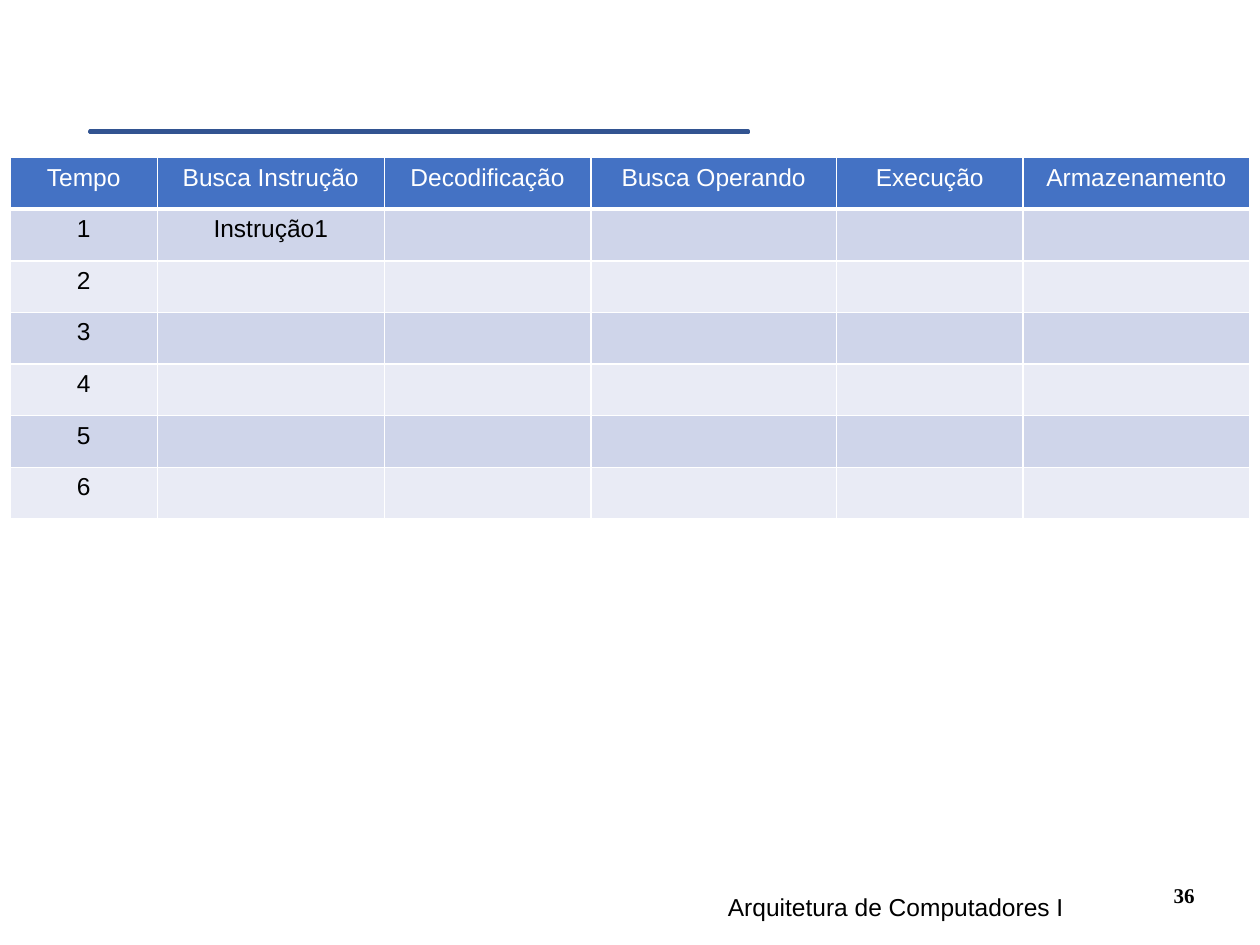
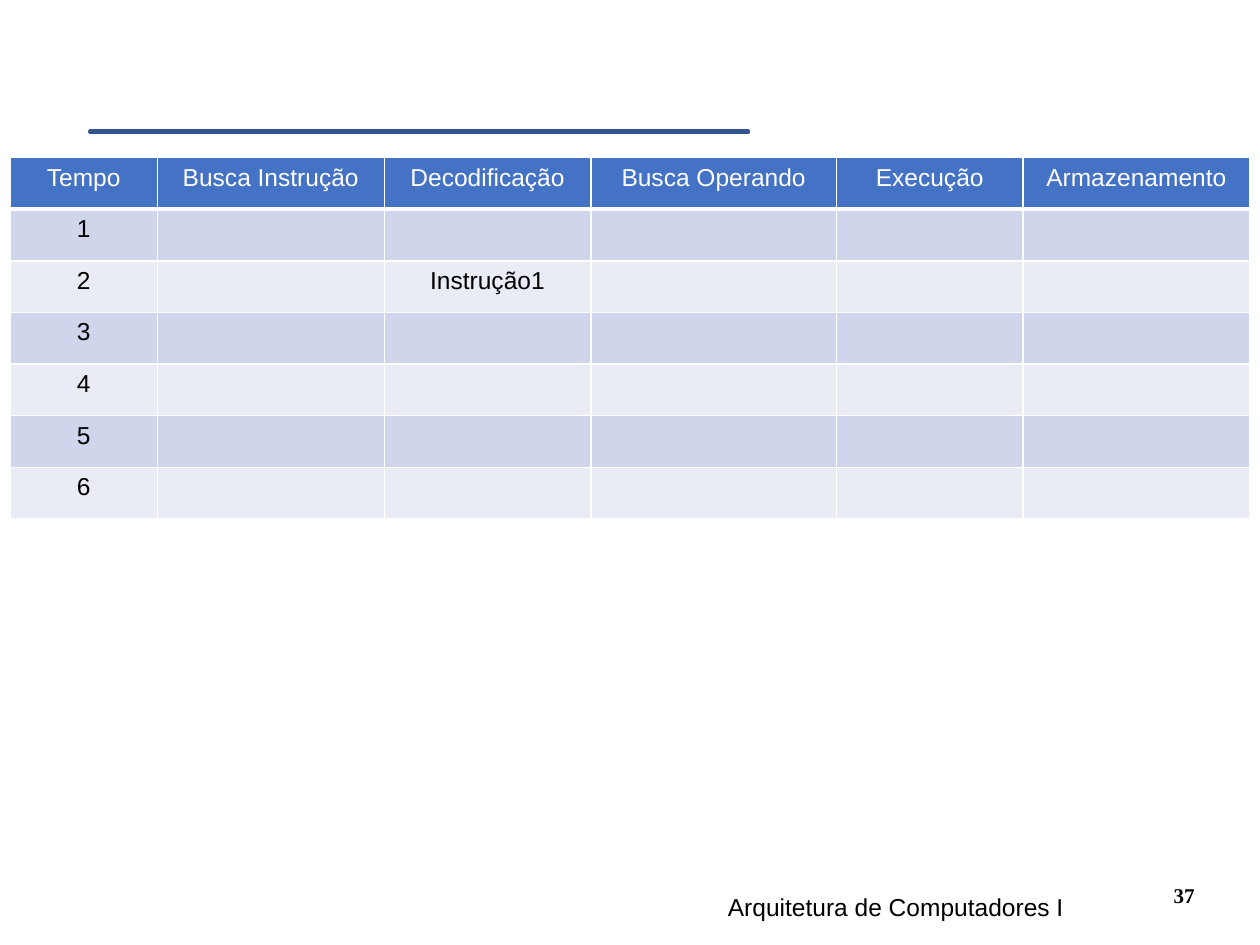
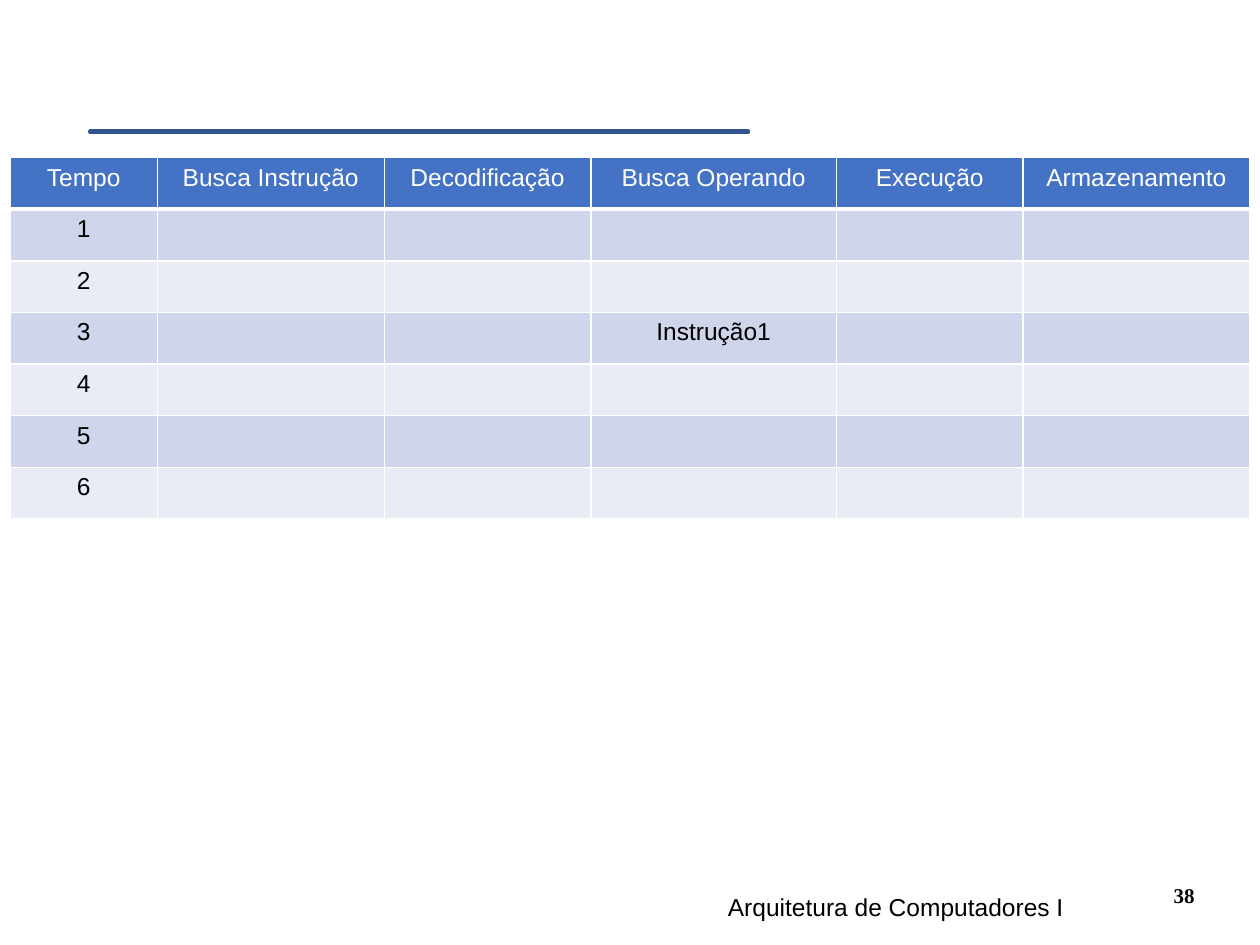
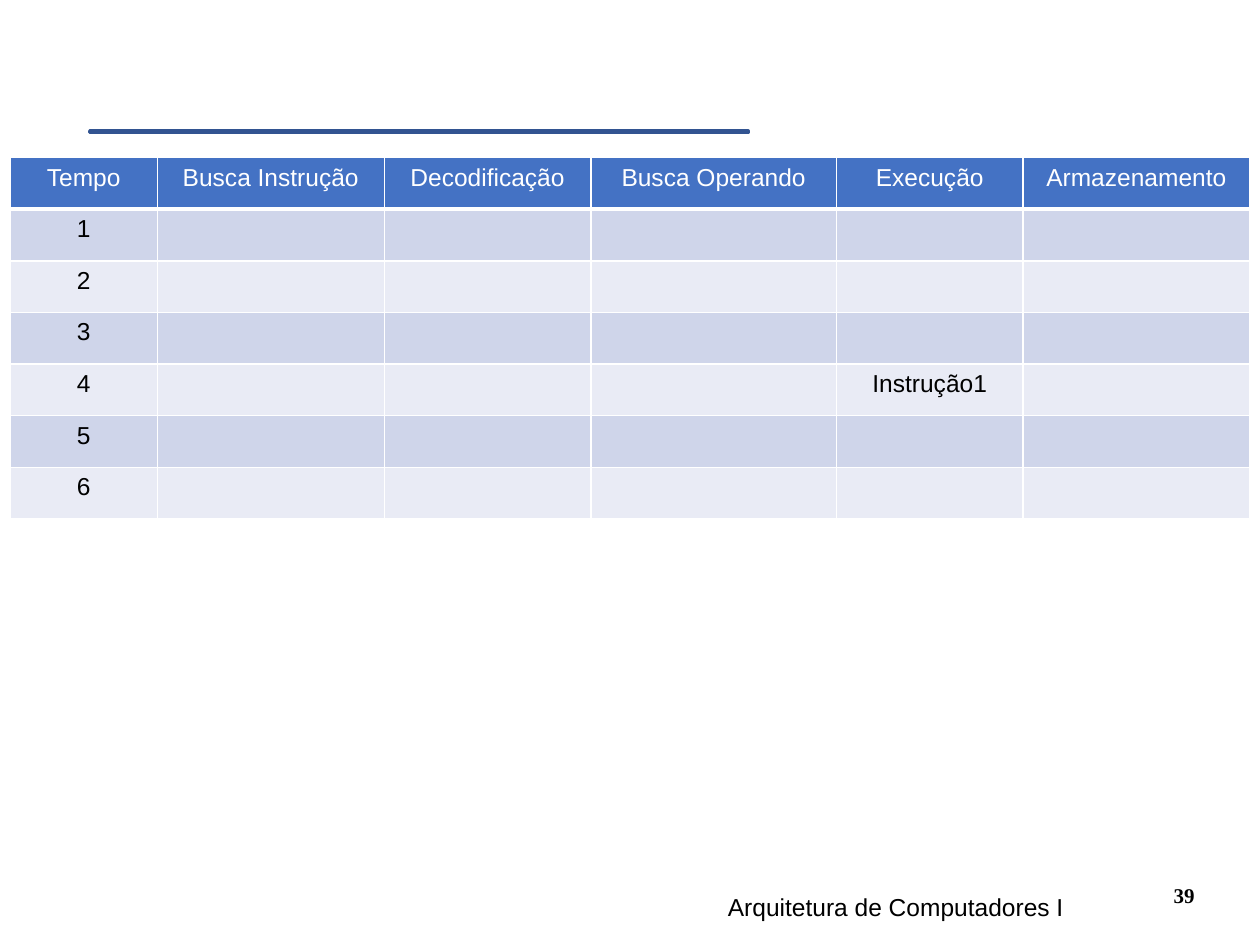
from lxml import etree
from pptx import Presentation
from pptx.dml.color import RGBColor
from pptx.enum import shapes, text
from pptx.oxml.ns import qn
from pptx.util import Inches, Pt

# Content: the instruction moves one stage further on each slide
STAGES = ["Tempo", "Busca Instrução", "Decodificação", "Busca Operando",
          "Execução", "Armazenamento"]
TIMES = range(1, 7)
INSTRUCTION = "Instrução1"
FOOTER = "Arquitetura de Computadores I"
SLIDES = [{"number": 36, "step": 1}, {"number": 37, "step": 2},
          {"number": 38, "step": 3}, {"number": 39, "step": 4}]

# Shared look
COLORS = {"blue": "4472C4", "rule": "325491", "odd": "CFD5EA",
          "even": "E9EBF5", "white": "FFFFFF", "black": "000000"}
FONTS = {
    "header": {"name": "Arial", "size": Pt(14), "bold": False, "color": "white"},
    "body": {"name": "Arial", "size": Pt(14), "bold": False, "color": "black"},
    "number": {"name": "Times New Roman", "size": Pt(12), "bold": True,
               "color": "black"},
}
COL_WIDTHS = [1.17, 1.8, 1.64, 1.95, 1.48, 1.8]
ROW_HEIGHT = 0.41
TABLE_LEFT, TABLE_TOP = 0.08, 1.25
RULE_BOX = (-0.23, 1.02, 7.11, 0.05)
NUMBER_BOX = (7, 6.75, 2.58, 0.5)
FOOTER_BOX = (4.89, 7.03, 4.44, 0.5)


def rgb(name):
    return RGBColor.from_string(COLORS[name])


def write(tf, content, style, align):
    p = tf.paragraphs[0]
    p.alignment = align
    r = p.add_run()
    r.text = content
    for key, value in FONTS[style].items():
        if key == "color":
            r.font.color.rgb = rgb(value)
        else:
            setattr(r.font, key, value)


def add_text(s, box, content, style, align, anchor):
    tf = s.shapes.add_textbox(*map(Inches, box)).text_frame
    tf.word_wrap = True
    tf.vertical_anchor = anchor
    write(tf, content, style, align)


def set_borders(cell, bottom):
    tc_pr = cell._tc.get_or_add_tcPr()
    for side, width in {"L": 1, "R": 1, "T": 1, "B": bottom}.items():
        ln = etree.SubElement(tc_pr, qn(f"a:ln{side}"), w=str(Pt(width)))
        fill = etree.SubElement(ln, qn("a:solidFill"))
        etree.SubElement(fill, qn("a:srgbClr"), val=COLORS["white"])


def add_pipeline(s, step):
    # Row t holds the time, and the instruction in column t when t is the step
    rows = [STAGES]
    for t in TIMES:
        row = [str(t)] + [""] * (len(STAGES) - 1)
        if t == step:
            row[t] = INSTRUCTION
        rows.append(row)

    table = s.shapes.add_table(
        len(rows), len(STAGES), Inches(TABLE_LEFT), Inches(TABLE_TOP),
        Inches(sum(COL_WIDTHS)), Inches(ROW_HEIGHT * len(rows))).table
    for col, width in zip(table.columns, COL_WIDTHS):
        col.width = Inches(width)
    for i, row in enumerate(rows):
        table.rows[i].height = Inches(ROW_HEIGHT)
        fill = "blue" if i == 0 else "odd" if i % 2 else "even"
        for j, content in enumerate(row):
            cell = table.cell(i, j)
            set_borders(cell, bottom=1 if i else 3)
            cell.fill.solid()
            cell.fill.fore_color.rgb = rgb(fill)
            if content:
                write(cell.text_frame, content, "body" if i else "header",
                      text.PP_ALIGN.CENTER)


def add_rule(s):
    sp = s.shapes.add_shape(shapes.MSO_SHAPE.MATH_MINUS, *map(Inches, RULE_BOX))
    sp.shadow.inherit = False
    sp.fill.solid()
    sp.fill.fore_color.rgb = rgb("blue")
    sp.line.color.rgb = rgb("rule")
    sp.line.width = Pt(2)


def main():
    prs = Presentation()
    prs.slide_width, prs.slide_height = Inches(10), Inches(7.5)
    for page in SLIDES:
        s = prs.slides.add_slide(prs.slide_layouts[6])
        add_pipeline(s, page["step"])
        add_text(s, NUMBER_BOX, str(page["number"]), "number",
                 text.PP_ALIGN.RIGHT, text.MSO_ANCHOR.BOTTOM)
        add_rule(s)
        add_text(s, FOOTER_BOX, FOOTER, "body",
                 text.PP_ALIGN.CENTER, text.MSO_ANCHOR.TOP)
    prs.save("out.pptx")


if __name__ == "__main__":
    main()
